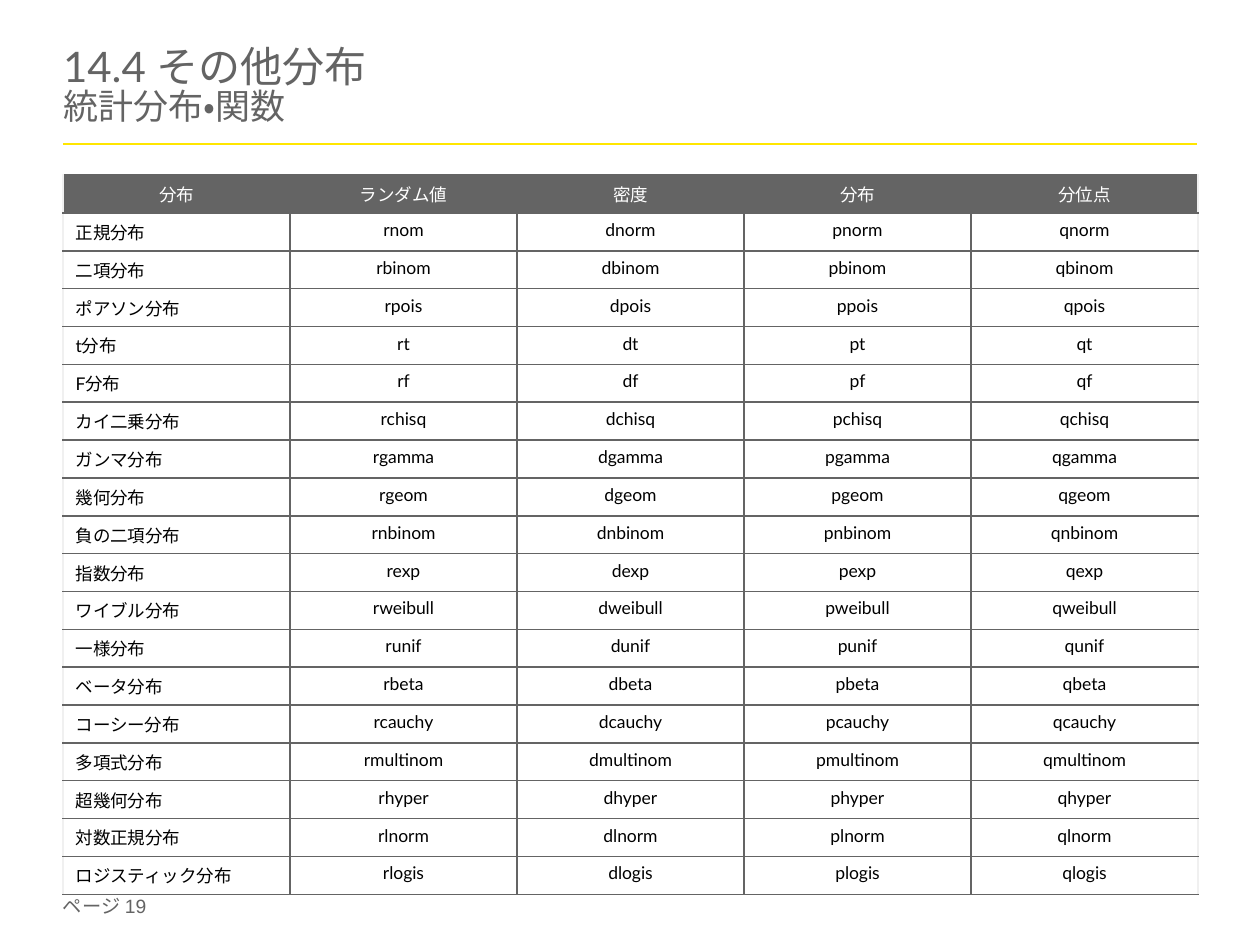
from lxml import etree
from pptx import Presentation
from pptx.dml.color import RGBColor
from pptx.enum.lang import MSO_LANGUAGE_ID
from pptx.enum.shapes import MSO_CONNECTOR
from pptx.enum.text import MSO_ANCHOR, MSO_AUTO_SIZE, PP_ALIGN
from pptx.oxml.ns import qn
from pptx.util import Cm, Pt

LEFT, CENTER = PP_ALIGN.LEFT, PP_ALIGN.CENTER
TOP, MIDDLE = MSO_ANCHOR.TOP, MSO_ANCHOR.MIDDLE
JAPANESE = MSO_LANGUAGE_ID.JAPANESE

COLORS = {"gray": "646464", "yellow": "FFE600", "white": "FFFFFF",
          "black": "000000", "edge": "F0F0F0"}

HEADERS = ["分布", "ランダム値", "密度", "分布", "分位点"]
PREFIXES = "rdpq"
DISTRIBUTIONS = [
    ("正規分布", "norm"), ("二項分布", "binom"), ("ポアソン分布", "pois"),
    ("t分布", "t"), ("F分布", "f"), ("カイ二乗分布", "chisq"),
    ("ガンマ分布", "gamma"), ("幾何分布", "geom"), ("負の二項分布", "nbinom"),
    ("指数分布", "exp"), ("ワイブル分布", "weibull"), ("一様分布", "unif"),
    ("ベータ分布", "beta"), ("コーシー分布", "cauchy"),
    ("多項式分布", "multinom"), ("超幾何分布", "hyper"),
    ("対数正規分布", "lnorm"), ("ロジスティック分布", "logis"),
]
SPELLINGS = {"rnorm": "rnom"}  # spelled this way on the slide


def rgb(name):
    return RGBColor.from_string(COLORS[name])


def add_text(p, text, size=10, color="black", font="Lato", align=LEFT):
    p.alignment = align
    r = p.add_run()
    r.text = text
    r.font.size = Pt(size)
    r.font.name = font
    r.font.color.rgb = rgb(color)
    r.font.language_id = JAPANESE


def clear_margins(tf):
    tf.margin_left = tf.margin_right = tf.margin_top = tf.margin_bottom = 0
    tf.auto_size = MSO_AUTO_SIZE.NONE


def set_borders(cell, **sides):
    tcPr = cell._tc.get_or_add_tcPr()
    for side in "LRTB":
        ln = etree.SubElement(tcPr, qn(f"a:ln{side}"), w=str(Pt(1)))
        fill = etree.SubElement(ln, qn("a:solidFill"))
        etree.SubElement(fill, qn("a:srgbClr"),
                         val=COLORS[sides.get(side, "gray")])


def add_title(s, x, y, w, h):
    # Two-line title
    sp = s.shapes.title
    sp.left, sp.top, sp.width, sp.height = Cm(x), Cm(y), Cm(w), Cm(h)
    tf = sp.text_frame
    clear_margins(tf)
    tf.word_wrap = True
    tf.vertical_anchor = MIDDLE
    p = tf.paragraphs[0]
    p.line_spacing = 0.85
    add_text(p, "14.4 その他分布", size=24, color="gray")
    p.add_line_break()
    add_text(p, "統計分布・関数", size=20, color="gray")

    # Yellow rule just above the bottom of the title box
    rule_y = Cm(y + h - 0.05)
    rule = s.shapes.add_connector(MSO_CONNECTOR.STRAIGHT,
                                  Cm(x), rule_y, Cm(x + w), rule_y)
    rule.line.color.rgb = rgb("yellow")
    rule.line.width = Pt(1.5)
    etree.SubElement(rule._element.spPr, qn("a:effectLst"))


def add_function_table(s, x, y, w, h):
    rows = [HEADERS]
    for label, stem in DISTRIBUTIONS:
        names = [prefix + stem for prefix in PREFIXES]
        rows.append([label] + [SPELLINGS.get(n, n) for n in names])
    last = len(HEADERS) - 1
    table = s.shapes.add_table(len(rows), len(HEADERS),
                               Cm(x), Cm(y), Cm(w), Cm(h)).table
    table.first_row = table.horz_banding = False

    for i, row in enumerate(rows):
        header = i == 0
        for j, text in enumerate(row):
            cell = table.cell(i, j)
            set_borders(cell, L="gray" if j else "edge",
                        R="edge" if j == last else "gray")
            cell.fill.solid()
            cell.fill.fore_color.rgb = rgb("gray" if header else "white")
            cell.vertical_anchor = MIDDLE if header else TOP
            add_text(cell.text_frame.paragraphs[0], text,
                     color="white" if header else "black",
                     align=CENTER if header or j else LEFT)


def add_page_number(s, x, y, w, h):
    tf = s.shapes.add_textbox(Cm(x), Cm(y), Cm(w), Cm(h)).text_frame
    clear_margins(tf)
    tf.word_wrap = True
    add_text(tf.paragraphs[0], "ページ 19", size=11, color="gray", font="Arial")


def main():
    prs = Presentation()
    prs.slide_width, prs.slide_height = Cm(25.4), Cm(19.05)
    s = prs.slides.add_slide(prs.slide_layouts[5])
    add_page_number(s, 1.27, 18.03, 2.01, 0.56)
    add_title(s, 1.27, 0.56, 22.86, 2.39)
    add_function_table(s, 1.27, 3.53, 22.88, 12.88)
    prs.save("out.pptx")


if __name__ == "__main__":
    main()
